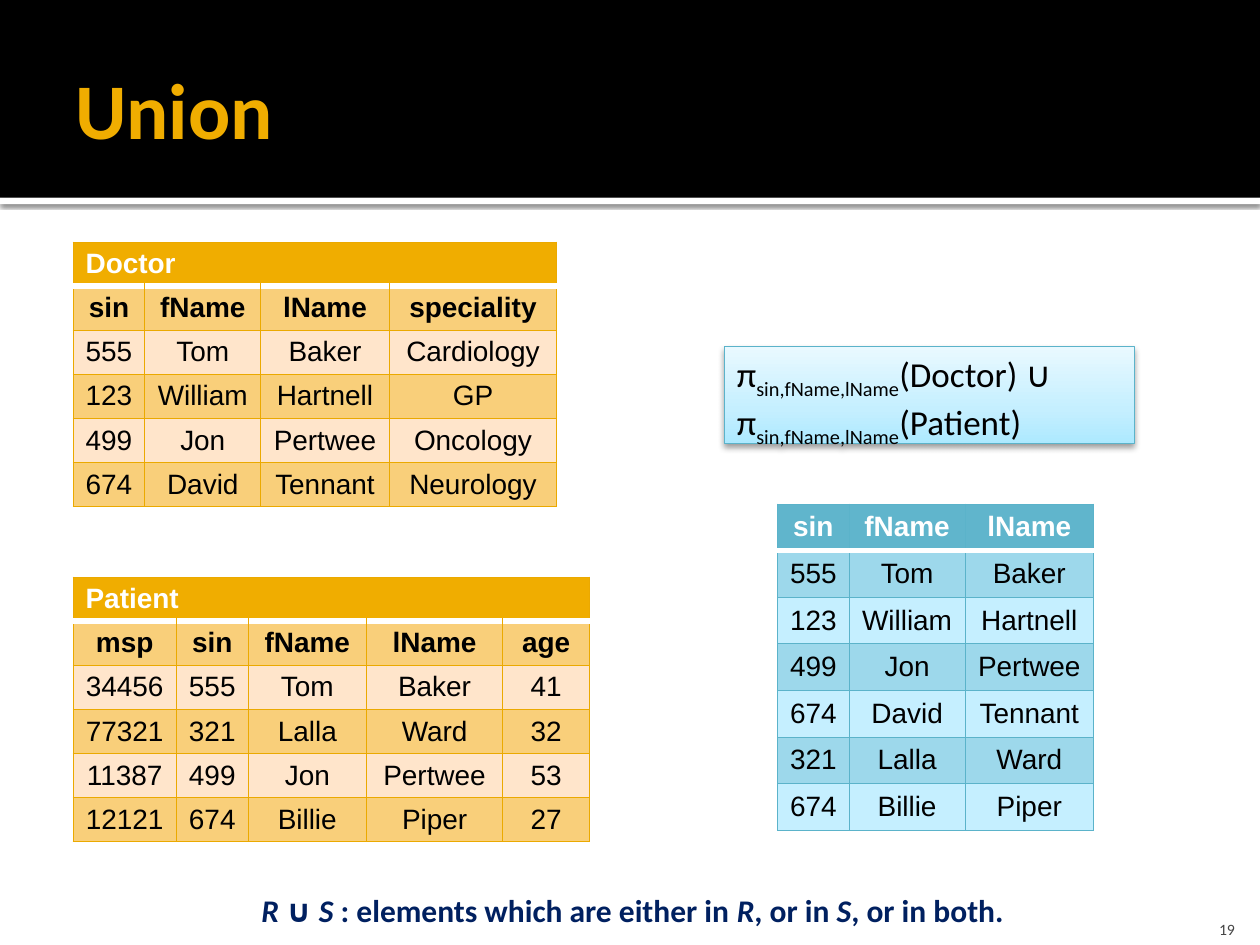
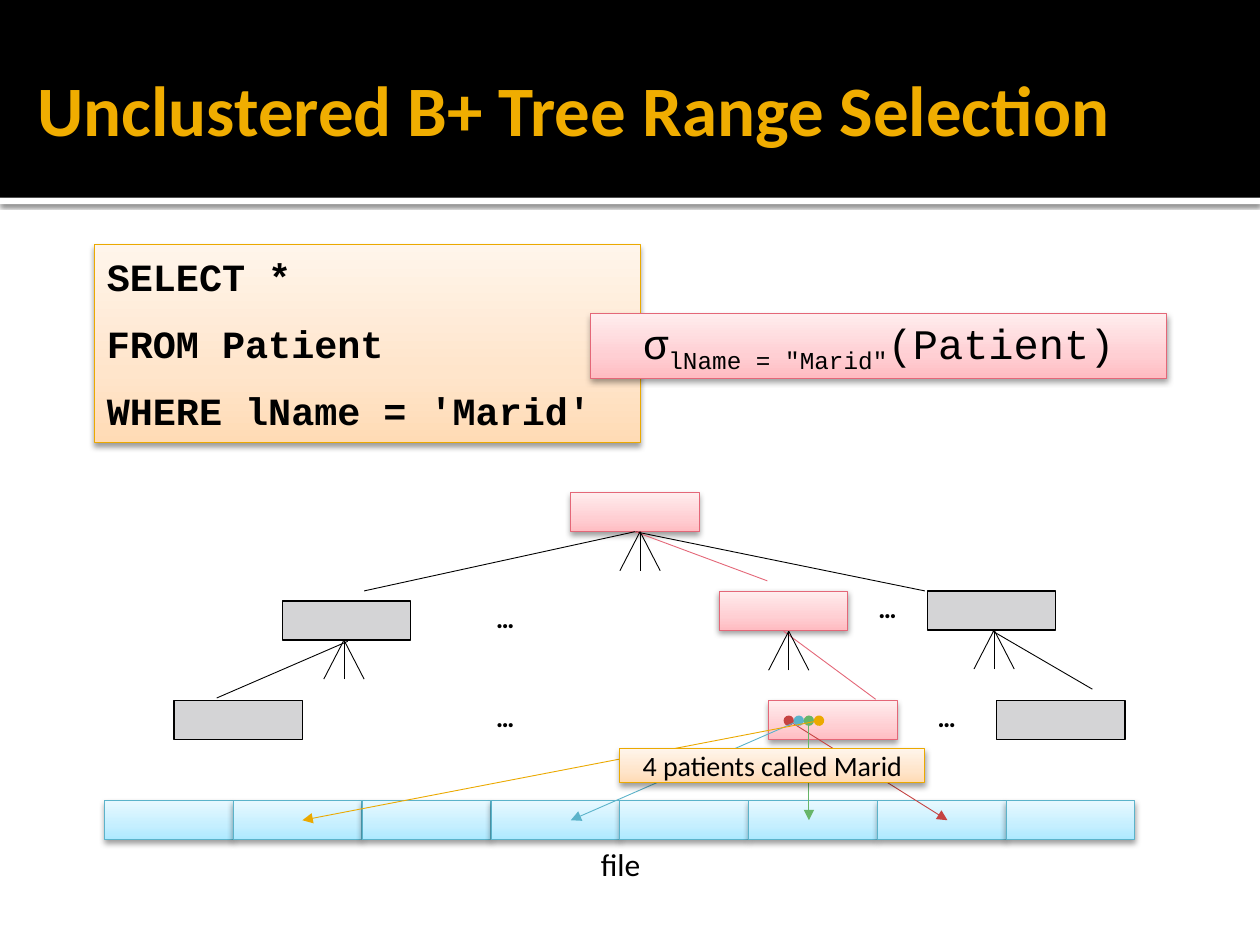
from lxml import etree
from pptx import Presentation
from pptx.dml.color import RGBColor
from pptx.enum import shapes, text
from pptx.oxml import ns
from pptx.util import Inches, Pt

HUES = {
    "black": "000000", "white": "FFFFFF", "gold": "F0AD00", "navy": "002060",
    "gray": "D4D4D6", "number": "454545",
    "amber": "EBA900", "sky": "5BB3CA", "rose": "E46778",
    "red": "C54342", "green": "67B569",
}
# Gradient stops at 0, 35 and 100 percent, from the bottom up
FADES = {
    "amber": ("FFDBB5", "FFE5CB", "FFF5EB"),
    "sky": ("ADE9FF", "C5EFFF", "E9F9FF"),
    "rose": ("FFBCC2", "FFCFD3", "FFEDEE"),
}
# Table looks: head, dark band, light band, rule
LOOKS = {
    "amber": ("F0AD00", "F9CF7A", "FFE5CB", "EBA900"),
    "sky": ("60B5CC", "9DD8EB", "C5EFFF", "5BB3CA"),
}
LEFT, MID, RIGHT = text.PP_ALIGN.LEFT, text.PP_ALIGN.CENTER, text.PP_ALIGN.RIGHT
TOP, CENTER, BOTTOM = (text.MSO_ANCHOR.TOP, text.MSO_ANCHOR.MIDDLE,
                       text.MSO_ANCHOR.BOTTOM)
INSET = (0.1, 0.05, 0.1, 0.05)

# Union slide
TABLES = [
    dict(name="Patient", look="amber", at=(0.58, 4.58), high=0.35,
         cols=(0.82, 0.57, 0.94, 1.08, 0.69),
         rows=[("msp", "sin", "fName", "lName", "age"),
               ("34456", "555", "Tom", "Baker", "41"),
               ("77321", "321", "Lalla", "Ward", "32"),
               ("11387", "499", "Jon", "Pertwee", "53"),
               ("12121", "674", "Billie", "Piper", "27")]),
    dict(name="Doctor", look="amber", at=(0.58, 1.92), high=0.35,
         cols=(0.57, 0.92, 1.02, 1.33),
         rows=[("sin", "fName", "lName", "speciality"),
               ("555", "Tom", "Baker", "Cardiology"),
               ("123", "William", "Hartnell", "GP"),
               ("499", "Jon", "Pertwee", "Oncology"),
               ("674", "David", "Tennant", "Neurology")]),
    dict(name=None, look="sky", at=(6.17, 4), high=0.37,
         cols=(0.57, 0.92, 1.02),
         rows=[("sin", "fName", "lName"),
               ("555", "Tom", "Baker"),
               ("123", "William", "Hartnell"),
               ("499", "Jon", "Pertwee"),
               ("674", "David", "Tennant"),
               ("321", "Lalla", "Ward"),
               ("674", "Billie", "Piper")]),
]
# Runs are (text, style); style is "", "sub" or "it"
UNION = [("π", ""), ("sin,fName,lName", "sub"), ("(Doctor) ∪ π", ""),
         ("sin,fName,lName", "sub"), ("(Patient)", "")]
RULE = [("R", "it"), (" ∪ ", ""), ("S", "it"),
        (" : elements which are either in ", ""), ("R", "it"),
        (", or in ", ""), ("S", "it"), (", or in both.", "")]

# Tree slide
QUERY = ["SELECT *", "FROM Patient", "WHERE lName = 'Marid'"]
SIGMA = [("σ", ""), ('lName = "Marid"', "sub"), ("(Patient)", "")]
NODE = (1.02, 0.31)
FILE = dict(left=0.83, top=6.35, wide=8.18, count=8)
PLAIN = [(7.91, 5.56), (2.24, 4.77), (7.36, 4.69), (1.38, 5.56)]
FOUND = [(6.1, 5.56), (4.53, 3.91), (5.71, 4.69)]
DOTS = [(6.81, 4.69, 0.47), (3.5, 4.77, 1.02),
        (3.5, 5.56, 1.02), (7.28, 5.56, 0.47)]
HITS = [("red", 7.52), ("sky", 4.53), ("green", 6.42), ("amber", 2.4)]
EDGES = [
    ("black", (2.89, 4.69), (5.04, 4.22)),
    ("black", (7.34, 4.69), (5.04, 4.22)),
    ("rose", (6.09, 4.61), (5.04, 4.22)),
    ("rose", (6.95, 5.55), (6.22, 5.01)),
    ("black", (8.67, 5.47), (7.88, 5.01)),
    ("black", (1.72, 5.54), (2.76, 5.09)),
]
FANS = [(2.73, 5.08), (7.89, 5), (6.26, 5.01), (5.08, 4.22)]


def rgb(hue):
    return RGBColor.from_string(HUES.get(hue, hue))


def add(root, tag, **atts):
    return etree.SubElement(root, ns.qn("a:" + tag), atts)


def shade(shape, alpha, blur, dist):
    """Give a shape a soft shadow straight below it."""
    fx = shape._element.spPr.find(ns.qn("a:effectLst"))
    cast = add(fx, "outerShdw", blurRad=str(Pt(blur)), dist=str(Pt(dist)),
               dir="5400000", algn="ctr", rotWithShape="0")
    add(add(cast, "srgbClr", val=HUES["black"]), "alpha", val=str(alpha * 1000))


def write(frame, paras, size, hue="black", face="Calibri", bold=False,
          align=LEFT, anchor=TOP, inset=INSET, gap=0):
    """Fill a text frame; each paragraph is a string or a list of runs."""
    frame.word_wrap = True
    frame.vertical_anchor = anchor
    (frame.margin_left, frame.margin_top,
     frame.margin_right, frame.margin_bottom) = map(Inches, inset)
    for i, runs in enumerate(paras):
        para = frame.add_paragraph() if i else frame.paragraphs[0]
        para.alignment = align
        if i and gap:
            para.space_before = Pt(gap)
        font = para.font
        font.name, font.size, font.bold = face, Pt(size), bold
        font.color.rgb = rgb(hue)
        for words, style in [(runs, "")] if isinstance(runs, str) else runs:
            run = para.add_run()
            run.text = words
            if style == "it":
                run.font.italic = True
            elif style == "sub":
                run._r.get_or_add_rPr().set("baseline", "-25000")


def label(slide, at, paras, size, **look):
    box = slide.shapes.add_textbox(*map(Inches, at))
    write(box.text_frame, paras, size, **look)


def block(slide, at, fill, edge=None, width=0.5):
    box = slide.shapes.add_shape(shapes.MSO_SHAPE.RECTANGLE, *map(Inches, at))
    box.shadow.inherit = False
    box.fill.solid()
    box.fill.fore_color.rgb = rgb(fill)
    if edge:
        box.line.color.rgb = rgb(edge)
        box.line.width = Pt(width)
    else:
        box.line.fill.background()
    return box


def glow(slide, at, tone):
    """Add a shaded box with a vertical gradient."""
    box = block(slide, at, "white", tone)
    box.fill.gradient()
    box.fill.gradient_angle = 90
    stops = box._element.spPr.find(".//" + ns.qn("a:gsLst"))
    for stop in list(stops):
        stops.remove(stop)
    for pos, hue in zip((0, 35, 100), FADES[tone]):
        add(add(stops, "gs", pos=str(pos * 1000)), "srgbClr", val=hue)
    shade(box, 38, 3.5, 2)
    return box


def link(slide, hue, start, end, arrow=False):
    line = slide.shapes.add_connector(
        shapes.MSO_CONNECTOR.STRAIGHT, *map(Inches, start + end))
    line.line.color.rgb = rgb(hue)
    line.line.width = Pt(0.5)
    if arrow:
        ln = line.line._get_or_add_ln()
        add(ln, "headEnd", type="oval")
        add(ln, "tailEnd", type="triangle")
    add(line._element.spPr, "effectLst")


def border(cell, row, rule):
    """Rule all four sides, with a thick white line under the first row."""
    props = cell._tc.get_or_add_tcPr()
    for i, side in enumerate(("lnL", "lnR", "lnT", "lnB")):
        thick = (row, side) in ((0, "lnB"), (1, "lnT"))
        ln = etree.Element(ns.qn("a:" + side), w=str(Pt(3.78 if thick else 0.5)))
        add(add(ln, "solidFill"), "srgbClr", val=HUES["white"] if thick else rule)
        props.insert(i, ln)


def grid(slide, name, look, at, high, cols, rows):
    head, dark, light, rule = LOOKS[look]
    if name:
        rows = [(name,) + ("",) * (len(cols) - 1)] + rows
    size = (sum(cols), high * len(rows))
    table = slide.shapes.add_table(
        len(rows), len(cols), *map(Inches, at + size)).table
    for col, wide in zip(table.columns, cols):
        col.width = Inches(wide)
    for r, row in enumerate(rows):
        table.rows[r].height = Inches(high)
        for c, words in enumerate(row):
            cell = table.cell(r, c)
            cell.fill.solid()
            cell.fill.fore_color.rgb = rgb((light, dark)[r % 2] if r else head)
            border(cell, r, rule)
            cell.vertical_anchor = CENTER
            cell.margin_left = cell.margin_right = Inches(0.05)
            cell.margin_top = cell.margin_bottom = Inches(0.03)
            para = cell.text_frame.paragraphs[0]
            para.alignment = MID
            font = para.font
            font.name, font.size = "Arial", Pt(16)
            font.bold = r == 0 or bool(name) and r == 1
            font.color.rgb = rgb("black" if r else "white")
            if words:
                para.add_run().text = words
    if name:
        first = table.cell(0, 0)
        first.merge(table.cell(0, len(cols) - 1))
        first.margin_left = Inches(0.1)
        first.text_frame.paragraphs[0].alignment = LEFT


def start(deck, title, left, size):
    """Add a slide with the black title band."""
    slide = deck.slides.add_slide(deck.slide_layouts[6])
    shade(block(slide, (0, 1.57, 10, 0.05), "white"), 60, 2.5, 0.8)
    block(slide, (0, 0, 10, 1.57), "black")
    label(slide, (left, 0.17, 10 - 2 * left, 1.37), [title], size, hue="gold",
          bold=True, anchor=CENTER, inset=(0.1, 0.05, 0.05, 0.05))
    return slide


def union(deck):
    slide = start(deck, "Union", 0.5, 45)
    for item in TABLES:
        grid(slide, **item)
    write(glow(slide, (5.75, 2.75, 3.25, 0.77), "sky").text_frame, [UNION], 20)
    label(slide, (0.08, 7.02, 9.88, 0.4), [RULE], 18, hue="navy", bold=True,
          align=MID)
    label(slide, (9.1, 7.15, 0.8, 0.3), ["19"], 9, hue="number", align=RIGHT,
          anchor=BOTTOM, inset=(0.1, 0.05, 0.1, 0))


def tree(deck):
    slide = start(deck, "Unclustered B+ Tree Range Selection", 0.2, 40.5)
    step = FILE["wide"] / FILE["count"]
    for i in range(FILE["count"]):
        glow(slide, (FILE["left"] + i * step, FILE["top"]) + NODE, "sky")
    for spot in FOUND:
        glow(slide, spot + NODE, "rose")
    for i, (hue, x) in enumerate(HITS):
        link(slide, hue, (6.26 + 0.08 * i, 5.72), (x, 6.51), arrow=True)
    for spot in PLAIN:
        block(slide, spot + NODE, "gray", "black", 0.75)
    write(glow(slide, (0.75, 1.94, 4.33, 1.57), "amber").text_frame, QUERY, 22,
          face="Courier New", bold=True, anchor=CENTER, gap=12)
    write(glow(slide, (4.69, 2.49, 4.57, 0.51), "rose").text_frame, [SIGMA], 24,
          face="Courier New", align=MID, anchor=CENTER)
    for x, y, wide in DOTS:
        label(slide, (x, y, wide, 0.3), ["…"], 12, face="Montserrat", bold=True,
              align=MID)
    write(glow(slide, (4.92, 5.94, 2.42, 0.27), "amber").text_frame,
          ["4 patients called Marid"], 16, align=MID, anchor=CENTER,
          inset=(0, 0, 0, 0))
    label(slide, (0.83, 6.66, 8.19, 0.4), ["file"], 18, align=MID)
    for edge in EDGES:
        link(slide, *edge)
    for x, y in FANS:
        for shift in (-0.16, 0, 0.16):
            link(slide, "black", (x + shift, y + 0.31), (x, y))


def main():
    deck = Presentation()
    deck.slide_width, deck.slide_height = Inches(10), Inches(7.5)
    union(deck)
    tree(deck)
    deck.save("out.pptx")


if __name__ == "__main__":
    main()
